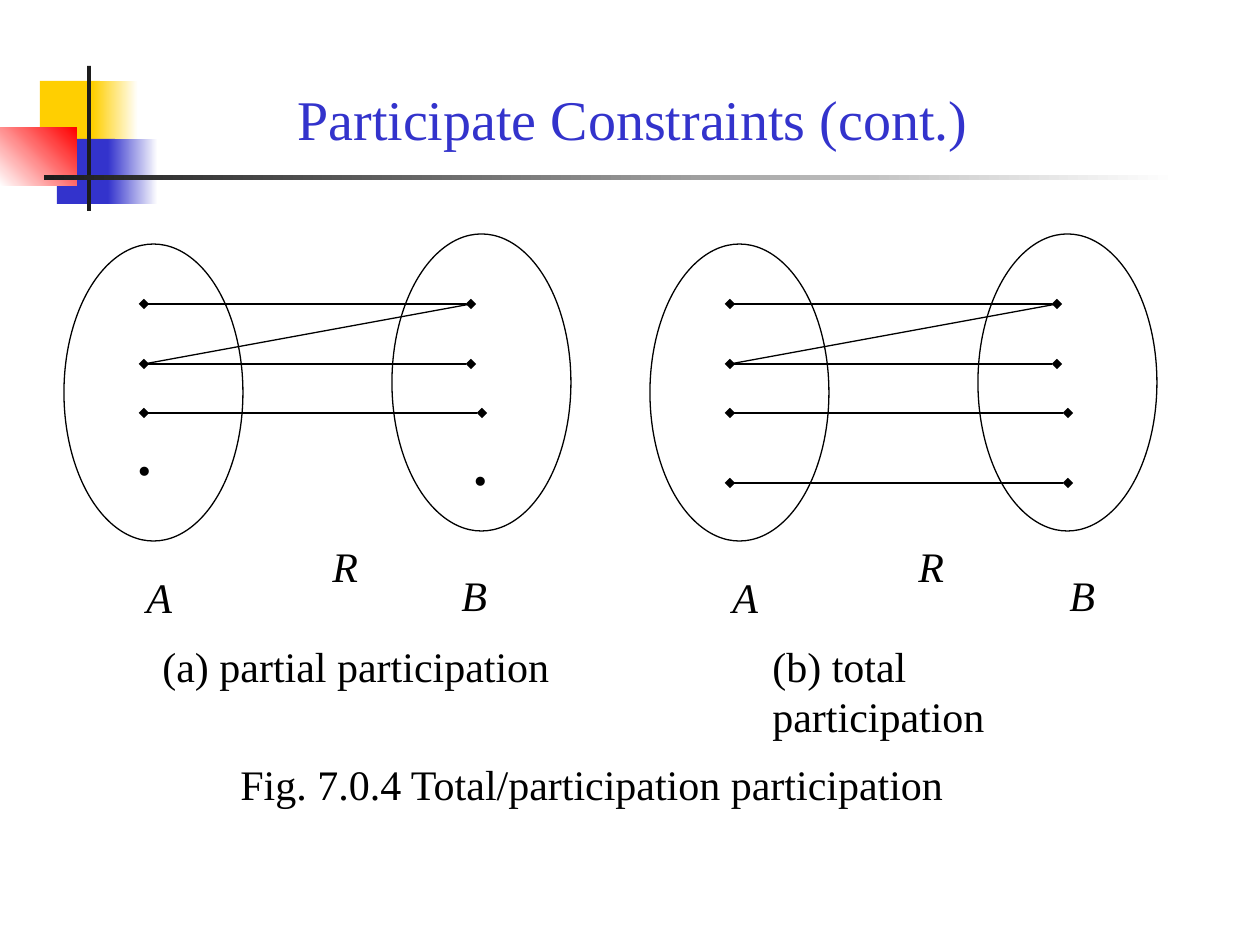
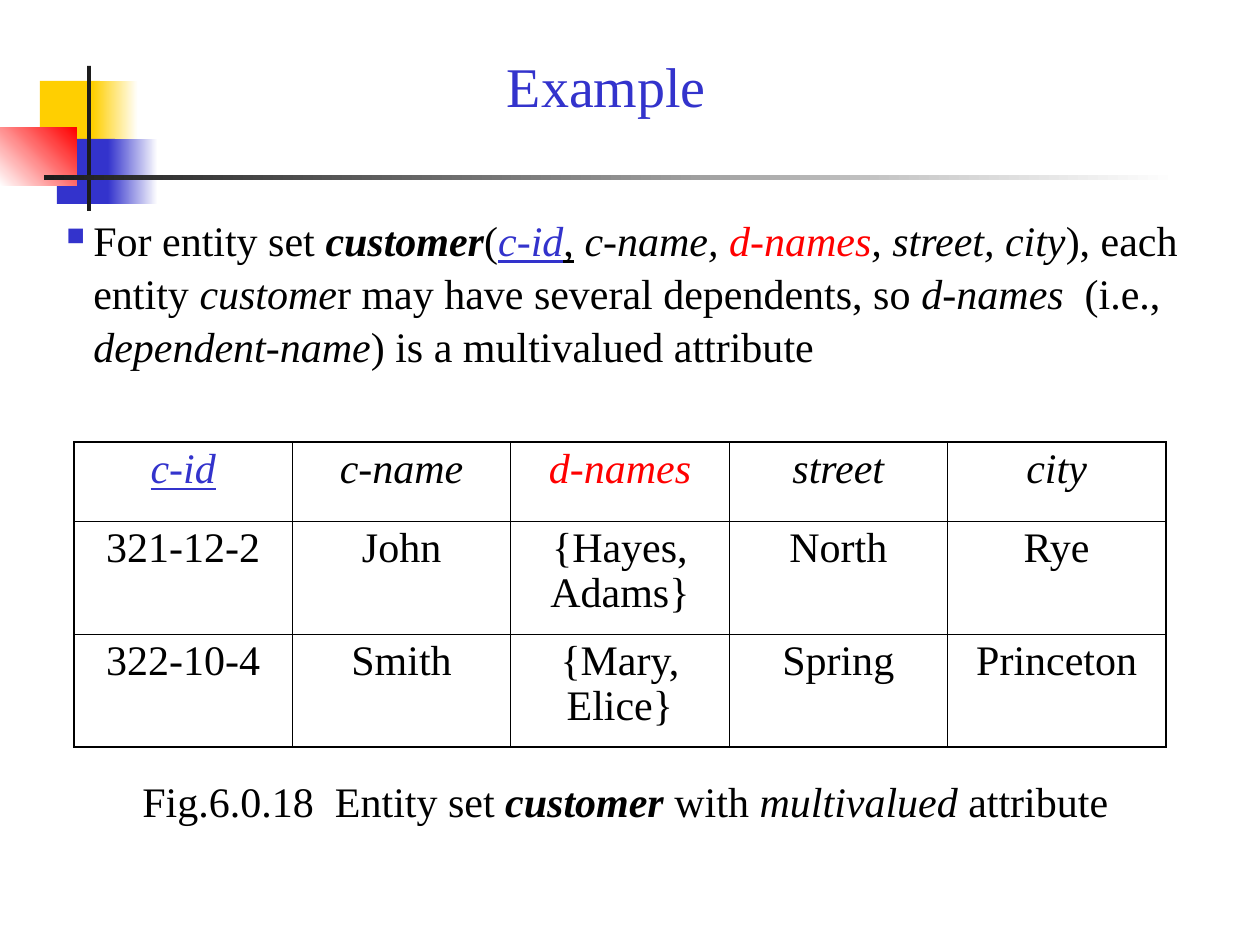
from dataclasses import dataclass

from lxml import etree
from pptx import Presentation
from pptx import util as u
from pptx.dml.color import RGBColor
from pptx.enum import shapes, text
from pptx.oxml.ns import qn

# Run styles: b bold, i italic, u underlined, B blue, R red
TITLES = [
    ("Participate Constraints (cont.)", (113, 0, 1040, 158)),
    ("Example", (113, 45, 987, 81)),
]

RELATIONS = [
    {"left": 64, "caption": "(a) partial participation", "caption_box": (150, 634, 422, 63),
     "b_label": 449, "pairs": [(304, 471), (364, 471), (413, 482)],
     "unmatched": [(125, 413), (461, 423)]},
    {"left": 650, "caption": "(b) total  participation", "caption_box": (760, 634, 392, 63),
     "b_label": 1057, "pairs": [(304, 471), (364, 471), (413, 482), (483, 482)],
     "unmatched": []},
]
RELATION_FIGURE = "Fig. 7.0.4 Total/participation participation"

CUSTOMER_TEXT = [
    ("For entity set ", ""), ("customer", "bi"), ("(", ""), ("c-id", "iuB"), (",", "u"),
    (" ", "bi"), ("c-name, ", "i"), ("d-names", "iR"), (", street, city", "i"),
    ("), each entity ", ""), ("custome", "i"), ("r may have several dependents, so ", ""),
    ("d-names ", "i"), (" (i.e., ", ""), ("dependent-name", "i"),
    (") is a multivalued attribute", ""),
]
CUSTOMER_HEADER = [("c-id", "iuB"), ("c-name", "i"), ("d-names", "iR"), ("street", "i"), ("city", "i")]
CUSTOMERS = [
    ("321-12-2", "John", "{Hayes, Adams}", "North", "Rye"),
    ("322-10-4", "Smith", "{Mary, Elice}", "Spring", "Princeton"),
]
CUSTOMER_FIGURE = [
    ("Fig.6.0.18  Entity set ", ""), ("customer", "bi"), (" with ", ""),
    ("multivalued", "i"), (" attribute", ""),
]


@dataclass(frozen=True)
class Theme:
    font: str = "Times New Roman"
    title: int = 32
    body: int = 24
    dot: int = 32
    black: str = "000000"
    white: str = "FFFFFF"
    blue: str = "3333CC"
    red: str = "FF0000"
    yellow: str = "FFCF01"
    dark: str = "1C1C1C"
    outline: float = 0.75
    outer_border: float = 1.08
    inner_border: float = 0.45


THEME = Theme()
PX = u.Inches(1) / 126

# Box, colours (one for plain, two for a gradient), gradient angle
ORNAMENTS = [
    ((40, 81, 60, 65), (THEME.yellow,), 0),
    ((93, 81, 45, 65), (THEME.yellow, THEME.white), 0),
    ((57, 139, 58, 65), (THEME.blue,), 0),
    ((108, 139, 50, 65), (THEME.blue, THEME.white), 0),
    ((0, 128, 77, 58), (THEME.white, THEME.red), 45),
    ((87, 66, 4, 145), (THEME.dark,), 0),
    ((44, 175, 1134, 5), (THEME.dark, THEME.white), 0),
]


def px(*lengths):
    return [u.Emu(round(length * PX)) for length in lengths]


def rgb(color):
    return RGBColor.from_string(color)


def add_xml(parent, tag, **attributes):
    return etree.SubElement(parent, qn(tag), attributes)


def write_spans(para, spans, size=THEME.body):
    for words, style in spans:
        span = para.add_run()
        span.text = words
        font = span.font
        font.name, font.size = THEME.font, u.Pt(size)
        font.bold, font.italic, font.underline = ("b" in style, "i" in style, "u" in style)
        color = THEME.blue if "B" in style else THEME.red if "R" in style else THEME.black
        font.color.rgb = rgb(color)


def add_text(page, area, spans, size=THEME.body, wrap=False):
    box = page.shapes.add_textbox(*px(*area))
    frame = box.text_frame
    frame.word_wrap = wrap
    frame.auto_size = text.MSO_AUTO_SIZE.NONE if wrap else text.MSO_AUTO_SIZE.SHAPE_TO_FIT_TEXT
    write_spans(frame.paragraphs[0], spans, size)
    return frame


def add_preset(page, kind, area):
    shape = page.shapes.add_shape(kind, *px(*area))
    shape.shadow.inherit = False
    return shape


def add_page(deck, title, area, anchor):
    """Add a blank page with the shared ornaments and a centred title."""
    page = deck.slides.add_slide(deck.slide_layouts[6])
    for place, colors, angle in ORNAMENTS:
        shape = add_preset(page, shapes.MSO_SHAPE.RECTANGLE, place)
        shape.line.fill.background()
        if len(colors) == 1:
            shape.fill.solid()
            shape.fill.fore_color.rgb = rgb(colors[0])
        else:
            shape.fill.gradient()
            shape.fill.gradient_angle = angle
            for stop, color in zip(shape.fill.gradient_stops, colors):
                stop.color.rgb = rgb(color)
    frame = add_text(page, area, [(title, "B")], THEME.title, wrap=True)
    frame.vertical_anchor = anchor
    frame.paragraphs[0].alignment = text.PP_ALIGN.CENTER
    return page


def add_link(page, start, end, diamonds=True):
    link = page.shapes.add_connector(shapes.MSO_CONNECTOR.STRAIGHT, *px(*start, *end))
    link.line.color.rgb = rgb(THEME.black)
    link.line.width = u.Pt(THEME.outline)
    if diamonds:
        for tag in ("a:headEnd", "a:tailEnd"):
            add_xml(link.line._get_or_add_ln(), tag, type="diamond")
    add_xml(link._element.spPr, "a:effectLst")


def add_relation(page, relation):
    """Draw sets A and B with the pairs that relate them."""
    left = relation["left"]
    shift = left - RELATIONS[0]["left"]
    for x, y in ((left, 244), (left + 328, 234)):
        oval = add_preset(page, shapes.MSO_SHAPE.OVAL, (x, y, 179, 297))
        oval.fill.background()
        oval.line.color.rgb = rgb(THEME.black)
        oval.line.width = u.Pt(THEME.outline)
    for name, x, y in (("A", 134 + shift, 565), ("B", relation["b_label"], 563), ("R", 320 + shift, 534)):
        add_text(page, (x, y, 50, 63), [(name, "i")])
    member = left + 80
    for y, end in relation["pairs"]:
        add_link(page, (member, y), (end + shift, y))
    (first_y, first_end), (second_y, _) = relation["pairs"][:2]
    add_link(page, (member, second_y), (first_end + shift, first_y), diamonds=False)
    for x, y in relation["unmatched"]:
        add_text(page, (x, y, 39, 81), [(".", "b")], THEME.dot)
    add_text(page, relation["caption_box"], [(relation["caption"], "")])


def set_borders(cell, outer_sides):
    for side in "LRTB":
        width = THEME.outer_border if side in outer_sides else THEME.inner_border
        line = add_xml(cell._tc.get_or_add_tcPr(), f"a:ln{side}", w=str(u.Pt(width)))
        add_xml(add_xml(line, "a:solidFill"), "a:srgbClr", val=THEME.black)


def add_customer_table(page):
    rows = [CUSTOMER_HEADER] + [[(value, "") for value in row] for row in CUSTOMERS]
    last_row, last_col = len(rows) - 1, len(CUSTOMER_HEADER) - 1
    table = page.shapes.add_table(last_row + 1, last_col + 1, *px(74, 442, 1092, 306)).table
    table.first_row = table.horz_banding = False
    for r, row in enumerate(rows):
        table.rows[r].height = px(113 if r else 79)[0]
        for c, span in enumerate(row):
            cell = table.cell(r, c)
            edges = {"L": c == 0, "R": c == last_col, "T": r == 0, "B": r == last_row}
            set_borders(cell, [side for side, outer in edges.items() if outer])
            cell.fill.background()
            para = cell.text_frame.paragraphs[0]
            para.alignment = text.PP_ALIGN.CENTER
            para.line_spacing = 0.96
            write_spans(para, [span])


def add_bullet_text(page, area, spans):
    para = add_text(page, area, [], wrap=True).paragraphs[0]
    properties = para._p.get_or_add_pPr()
    indent = px(27)[0]
    properties.set("marL", str(indent))
    properties.set("indent", str(-indent))
    add_xml(add_xml(properties, "a:buClr"), "a:srgbClr", val=THEME.blue)
    add_xml(properties, "a:buSzPct", val="60000")
    add_xml(properties, "a:buChar", char="■")
    para.line_spacing = 1.05
    write_spans(para, spans)


def main():
    deck = Presentation()
    deck.slide_width, deck.slide_height = px(1260, 945)

    page = add_page(deck, *TITLES[0], text.MSO_ANCHOR.BOTTOM)
    for relation in RELATIONS:
        add_relation(page, relation)
    add_text(page, (228, 752, 732, 63), [(RELATION_FIGURE, "")])

    page = add_page(deck, *TITLES[1], text.MSO_ANCHOR.TOP)
    add_bullet_text(page, (54, 206, 1144, 620), CUSTOMER_TEXT)
    add_customer_table(page)
    add_text(page, (130, 769, 1002, 63), CUSTOMER_FIGURE)

    deck.save("out.pptx")


if __name__ == "__main__":
    main()
